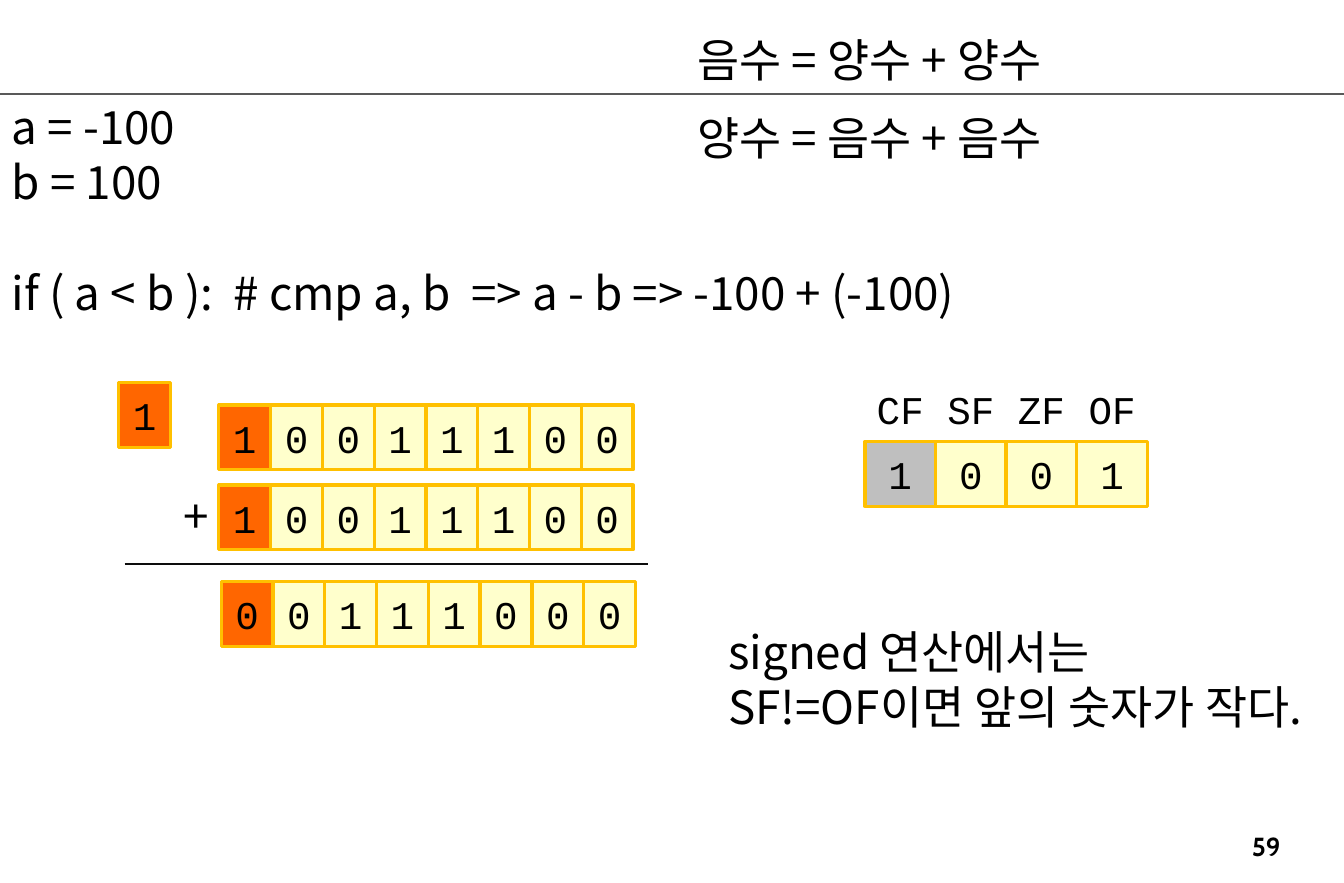
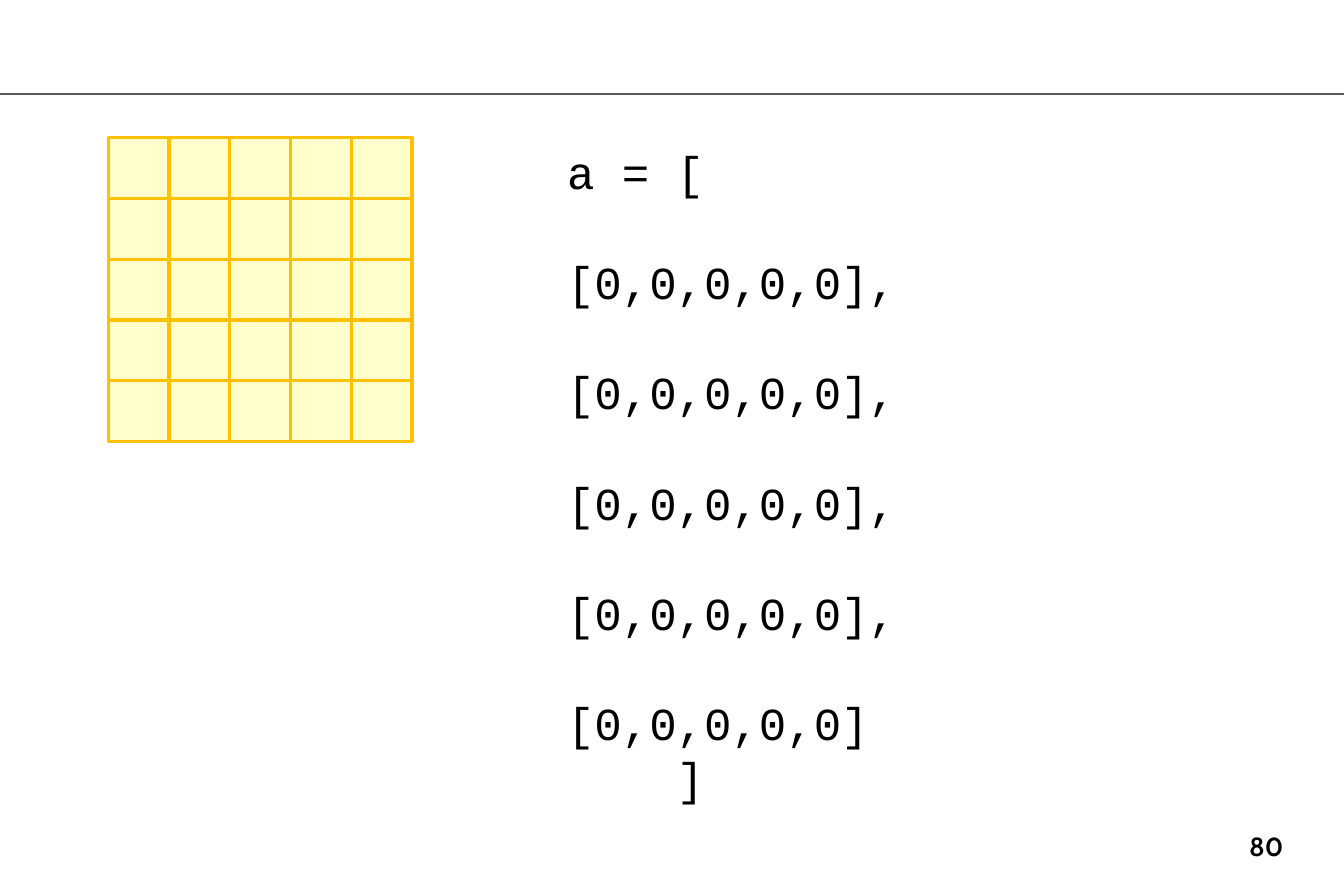
"""Builds two slides on signed comparison flags and a nested list."""
from lxml.etree import SubElement
from pptx import Presentation
from pptx.dml.color import RGBColor
from pptx.enum.shapes import MSO_CONNECTOR, MSO_SHAPE
from pptx.enum.text import MSO_ANCHOR, PP_ALIGN
from pptx.oxml.ns import qn
from pptx.util import Inches, Pt

SLIDE_WIDTH, SLIDE_HEIGHT = 11.42, 7.5
BLACK, RULE, SUM_LINE = "000000", "595959", "0D0D0D"
ORANGE, CREAM, GRAY, GOLD = "FF6600", "FFFFCC", "BFBFBF", "FFC000"
BODY_FONT, CODE_FONT, NUMBER_FONT = "Noto Sans CJK KR", "Courier New", "Cabin"
BODY_SIZE, CELL_SIZE, NUMBER_SIZE = 28, 24, 16
LINE_PITCH = 33.7
BIT_WIDTH, FLAG_WIDTH, CELL_HEIGHT = 0.44, 0.6, 0.55
GRID_COUNT, GRID_CELL = 5, 0.516

CONDITION = ["a = -100", "b = 100",
             "if ( a < b ):  # cmp a, b  => a - b => -100 + (-100)"]
NOTES = [
    (["+"], 1.46, 4.09, 0.48, 0.57),
    (["signed 연산에서는", "SF!=OF이면 앞의 숫자가 작다."], 6.09, 5.25, 5.54, 1.04),
    (["음수 = 양수 + 양수"], 5.83, 0.22, 3.8, 0.57),
    (["양수 = 음수 + 음수"], 5.83, 0.88, 3.8, 0.57),
]
BIT_ROWS = [("1", 1.01, 3.25), ("10011100", 1.86, 3.44),
            ("10011100", 1.86, 4.12), ("00111000", 1.88, 4.94)]
FLAGS = [("CF", "1"), ("SF", "0"), ("ZF", "0"), ("OF", "1")]
FLAGS_LEFT, FLAGS_TOP = 7.35, 3.75
NESTED_LIST = ["a = [",
               "      [0,0,0,0,0],",
               "      [0,0,0,0,0],",
               "      [0,0,0,0,0],",
               "      [0,0,0,0,0],",
               "      [0,0,0,0,0]",
               "    ]"]


def color(value):
    return RGBColor.from_string(value)


def style(paragraph, font_name, size, align=PP_ALIGN.LEFT, bold=False):
    paragraph.alignment = align
    font = paragraph.font
    font.name, font.size, font.bold = font_name, Pt(size), bold
    font.color.rgb = color(BLACK)
    for run in paragraph.runs:
        east_asian = SubElement(run._r.get_or_add_rPr(), qn("a:ea"))
        east_asian.set("typeface", font_name)


def add_text(slide, lines, left, top, width, height, font_name=BODY_FONT, wrap=True):
    box = slide.shapes.add_textbox(Inches(left), Inches(top), Inches(width), Inches(height))
    frame = box.text_frame
    frame.word_wrap = wrap
    frame.text = "\n".join(lines)
    for paragraph in frame.paragraphs:
        style(paragraph, font_name, BODY_SIZE)
        paragraph.line_spacing = Pt(LINE_PITCH)
    return frame


def add_line(slide, left, right, top, line_color, width):
    line = slide.shapes.add_connector(
        MSO_CONNECTOR.STRAIGHT, Inches(left), Inches(top), Inches(right), Inches(top))
    line.line.color.rgb = color(line_color)
    line.line.width = Pt(width)
    SubElement(line._element.spPr, qn("a:effectLst"))


def center_text(shape, text):
    frame = shape.text_frame
    frame.margin_left = frame.margin_right = 0
    frame.vertical_anchor = MSO_ANCHOR.MIDDLE
    frame.text = text
    style(frame.paragraphs[0], CODE_FONT, CELL_SIZE, PP_ALIGN.CENTER)


def add_cell(shapes, left, top, width, height, fill=CREAM, text=""):
    cell = shapes.add_shape(
        MSO_SHAPE.RECTANGLE, Inches(left), Inches(top), Inches(width), Inches(height))
    cell.shadow.inherit = False
    cell.fill.solid()
    cell.fill.fore_color.rgb = color(fill)
    cell.line.color.rgb = color(GOLD)
    cell.line.width = Pt(2)
    if text:
        center_text(cell, text)


def add_slide(presentation, number):
    slide = presentation.slides.add_slide(presentation.slide_layouts[6])
    add_line(slide, 0, SLIDE_WIDTH, 0.8, RULE, 1.5)
    box = slide.shapes.add_textbox(Inches(10.26), Inches(7), Inches(1), Inches(0.24))
    box.text_frame.text = number
    style(box.text_frame.paragraphs[0], NUMBER_FONT, NUMBER_SIZE, PP_ALIGN.CENTER, True)
    return slide


def build_flags_slide(presentation):
    slide = add_slide(presentation, "59")
    condition = add_text(slide, CONDITION, 0, 0.79, 10.39, 2.46)
    condition.paragraphs[-1].space_before = Pt(LINE_PITCH)
    for bits, left, top in BIT_ROWS:
        for index, bit in enumerate(bits):
            add_cell(slide.shapes, left + index * BIT_WIDTH, top, BIT_WIDTH, CELL_HEIGHT,
                     CREAM if index else ORANGE, bit)
    add_line(slide, 1.06, 5.51, 4.79, SUM_LINE, 0.75)
    for index, (name, value) in enumerate(FLAGS):
        left = FLAGS_LEFT + index * FLAG_WIDTH
        add_cell(slide.shapes, left, FLAGS_TOP, FLAG_WIDTH, CELL_HEIGHT,
                 CREAM if index else GRAY, value)
        label = slide.shapes.add_textbox(
            Inches(left), Inches(FLAGS_TOP - CELL_HEIGHT), Inches(FLAG_WIDTH), Inches(CELL_HEIGHT))
        center_text(label, name)
    for lines, *place in NOTES:
        add_text(slide, lines, *place, wrap=False)


def build_list_slide(presentation):
    slide = add_slide(presentation, "80")
    grid = slide.shapes.add_group_shape()
    for row in range(GRID_COUNT):
        for column in range(GRID_COUNT):
            add_cell(grid.shapes, 0.92 + column * GRID_CELL, 1.17 + row * GRID_CELL,
                     GRID_CELL, GRID_CELL)
    add_text(slide, NESTED_LIST, 4.72, 1.17, 4.08, 3.87, CODE_FONT)


def main():
    presentation = Presentation()
    presentation.slide_width = Inches(SLIDE_WIDTH)
    presentation.slide_height = Inches(SLIDE_HEIGHT)
    build_flags_slide(presentation)
    build_list_slide(presentation)
    presentation.save("out.pptx")


if __name__ == "__main__":
    main()
